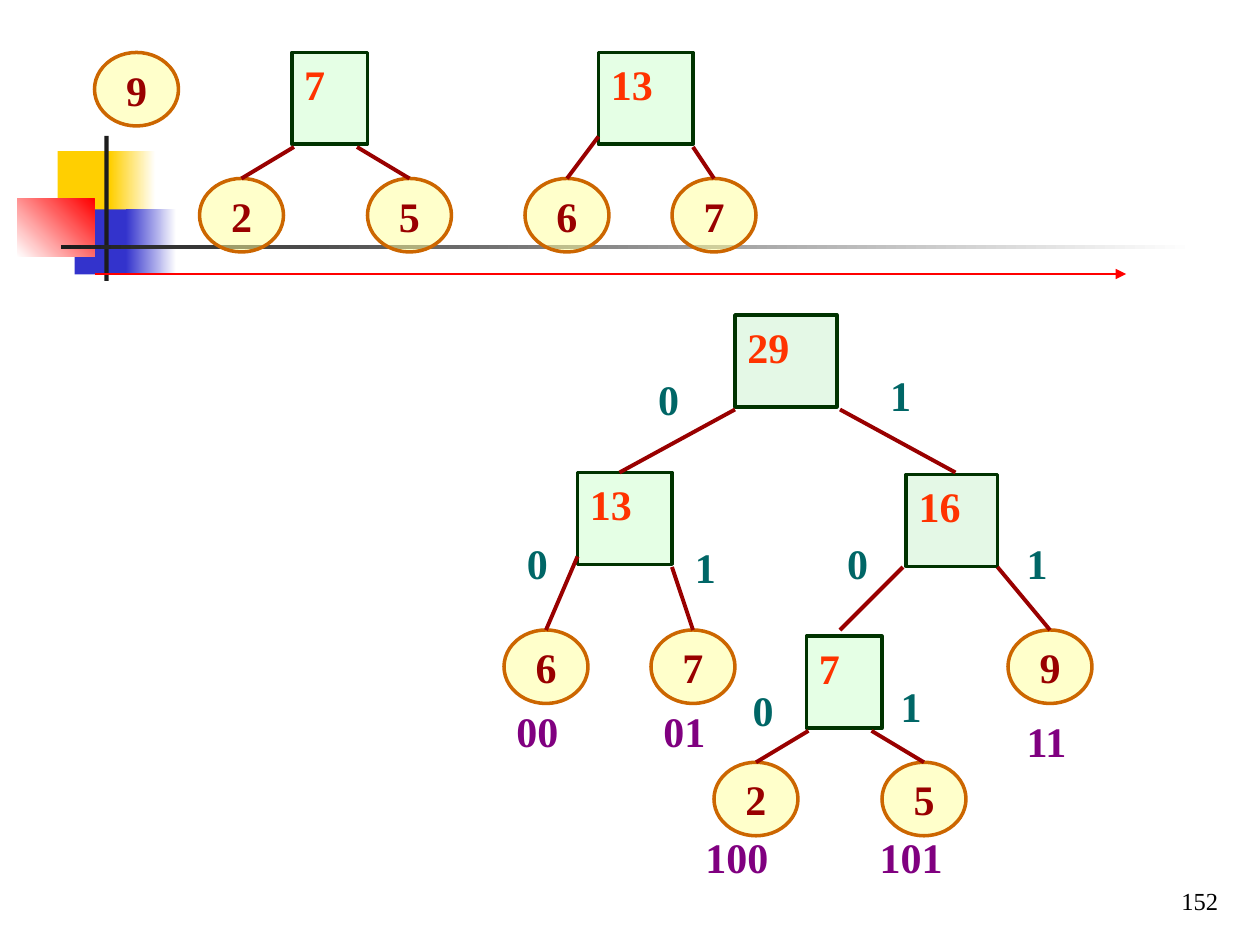
from lxml import etree
from pptx import Presentation
from pptx import util as u
from pptx.dml.color import RGBColor
from pptx.enum import shapes, text
from pptx.oxml.ns import qn

COLORS = {
    "gold": "FFCF01", "blue": "3333CC", "red": "FF0000", "white": "FFFFFF",
    "ink": "1C1C1C", "black": "000000", "leaf": "FFFF99", "leaf_line": "CC6600",
    "leaf_text": "990000", "node": "CCFFCC", "root": "CAF2CE",
    "node_line": "003300", "node_text": "FF3300", "edge": "990000",
    "bit": "006666", "code": "800080",
}
RGB = {name: RGBColor.from_string(value) for name, value in COLORS.items()}

presentation = Presentation()
presentation.slide_width = u.Inches(10)
presentation.slide_height = u.Inches(7.5)
slide = presentation.slides.add_slide(presentation.slide_layouts[6])
CELL = presentation.slide_width / 120


def add_box(preset, cells, fill=None, line=None):
    place = [round(value * CELL) for value in cells]
    if preset is None:
        return slide.shapes.add_textbox(*place)
    shape = slide.shapes.add_shape(preset, *place)
    shape.shadow.inherit = False
    if fill:
        shape.fill.solid()
        shape.fill.fore_color.rgb = RGB[fill]
    if line:
        shape.line.color.rgb = RGB[line]
        shape.line.width = u.Pt(2)
        color = shape.fill._xPr.find(qn("a:solidFill"))[0]
        etree.SubElement(color, qn("a:alpha")).set("val", "50000")
    else:
        shape.line.fill.background()
    return shape


def write(shape, words, color, align=text.PP_ALIGN.LEFT,
          anchor=text.MSO_ANCHOR.TOP, size=24, bold=True, wrap=True):
    frame = shape.text_frame
    frame.word_wrap = wrap
    frame.vertical_anchor = anchor
    paragraph = frame.paragraphs[0]
    paragraph.alignment = align
    run = paragraph.add_run()
    run.text = words
    run.font.name = "Times New Roman"
    run.font.size = u.Pt(size)
    run.font.bold = bold
    run.font.color.rgb = RGB[color]


RECTANGLE = shapes.MSO_SHAPE.RECTANGLE
OVAL = shapes.MSO_SHAPE.OVAL

decorations = [
    ((5.5, 14.4, 5.8, 6.2), "gold", None, 0),
    ((10.5, 14.4, 4.3, 6.2), "gold", "white", 0),
    ((7.1, 19.95, 5.5, 6.2), "blue", None, 0),
    ((12, 19.95, 4.8, 6.2), "blue", "white", 0),
    ((1.65, 18.95, 7.35, 5.5), "white", "red", 45),
    ((9.95, 12.95, 0.4, 13.8), "ink", None, 0),
    ((5.8, 23.35, 108, 0.4), "ink", "white", 0),
]
for cells, start, end, angle in decorations:
    shape = add_box(RECTANGLE, cells, start)
    if end:
        shape.fill.gradient()
        shape.fill.gradient_angle = angle
        for stop, name in zip(shape.fill.gradient_stops, (start, end)):
            stop.color.rgb = RGB[name]

leaves = [
    ("9", 9, 5), ("2", 19, 17), ("5", 35, 17), ("6", 50, 17), ("7", 64, 17),
    ("6", 48, 60), ("7", 62, 60), ("9", 96, 60),
    ("2", 68, 72.6), ("5", 84, 72.6),
]
for weight, column, row in leaves:
    shape = add_box(OVAL, (column, row, 8, 7), "leaf", "leaf_line")
    write(shape, weight, "leaf_text", text.PP_ALIGN.CENTER,
          text.MSO_ANCHOR.MIDDLE, wrap=False)

nodes = [
    ("7", 27.8, 5, 7.2, "node"), ("13", 57, 5, 9, "node"),
    ("29", 70, 30, 9.7, "root"), ("13", 55, 45, 9, "node"),
    ("16", 86.3, 45.2, 8.7, "root"), ("7", 76.8, 60.6, 7.2, "node"),
]
for weight, column, row, width, fill in nodes:
    shape = add_box(RECTANGLE, (column, row, width, 8.75), fill, "node_line")
    write(shape, weight, "node_text")

edges = [
    (28, 14, 23, 17), (34, 14, 39, 17), (57, 13, 54, 17), (66, 14, 68, 17),
    (70, 39, 59, 45), (80, 39, 91, 45), (55, 53, 52, 60), (64, 54, 66, 60),
    (86, 54, 80, 60), (95, 54, 100, 60), (77, 69.6, 72, 72.6), (83, 69.6, 88, 72.6),
]
timeline = (9, 26.1, 107.25, 26.1)
for ends in edges + [timeline]:
    connector = slide.shapes.add_connector(
        shapes.MSO_CONNECTOR.STRAIGHT, *[round(value * CELL) for value in ends])
    is_timeline = ends == timeline
    connector.line.color.rgb = RGB["red" if is_timeline else "edge"]
    connector.line.width = u.Pt(1.5 if is_timeline else 2.25)
    if is_timeline:
        arrow = etree.SubElement(connector.line._get_or_add_ln(), qn("a:tailEnd"))
        arrow.set("type", "triangle")
    etree.SubElement(connector._element.spPr, qn("a:effectLst"))

labels = {
    "bit": [
        ("0", 61.5, 35), ("0", 49, 50.6), ("0", 79.5, 50.6), ("0", 70.5, 64.6),
        ("1", 83.6, 34.6), ("1", 65, 51), ("1", 96.6, 50.6), ("1", 84.6, 64.2),
    ],
    "code": [
        ("00", 48, 66.6), ("01", 62, 66.6), ("11", 96.6, 67.6),
        ("100", 66, 78.6), ("101", 82.6, 78.6),
    ],
}
for color, entries in labels.items():
    for digits, column, row in entries:
        width = 2.4 + 3 * len(digits)
        write(add_box(None, (column, row, width, 8.4)), digits, color)

write(add_box(None, (92.2, 81.8, 25, 6)), "152", "black", text.PP_ALIGN.RIGHT,
      text.MSO_ANCHOR.BOTTOM, size=14, bold=False)

presentation.save("out.pptx")
